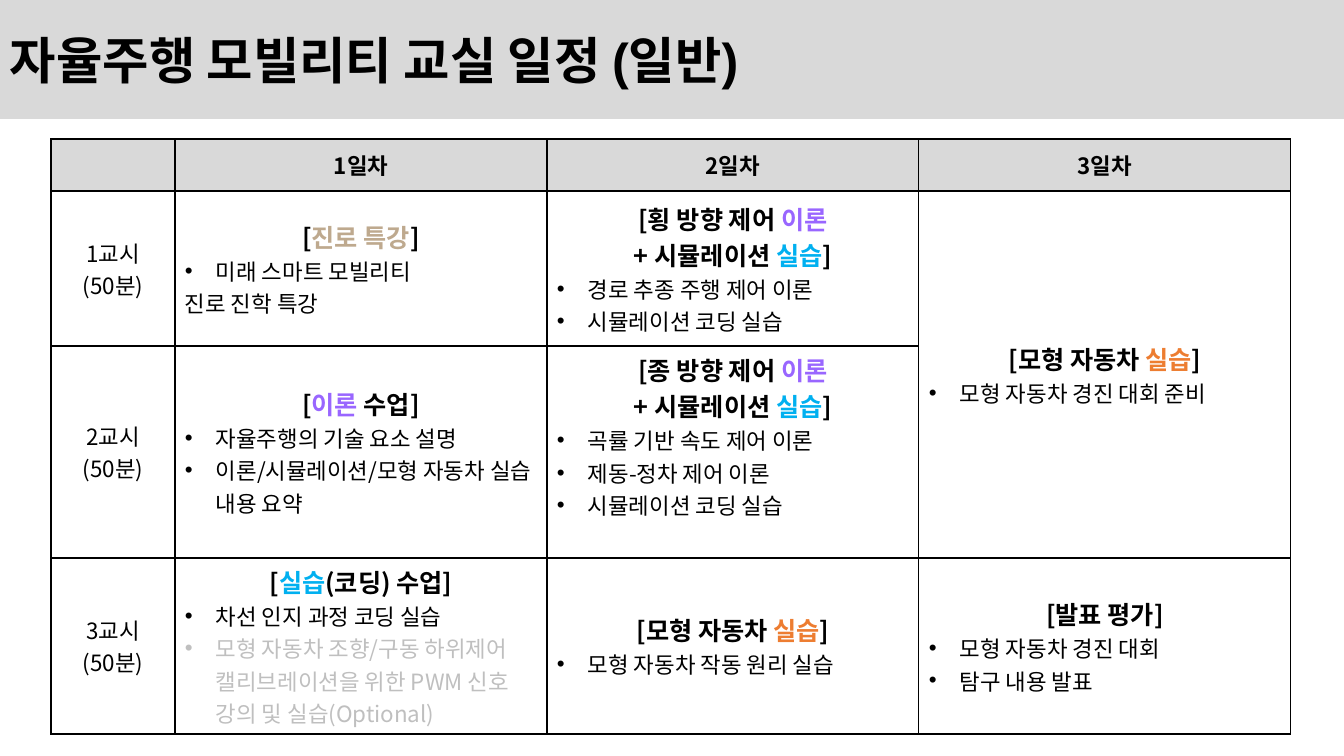
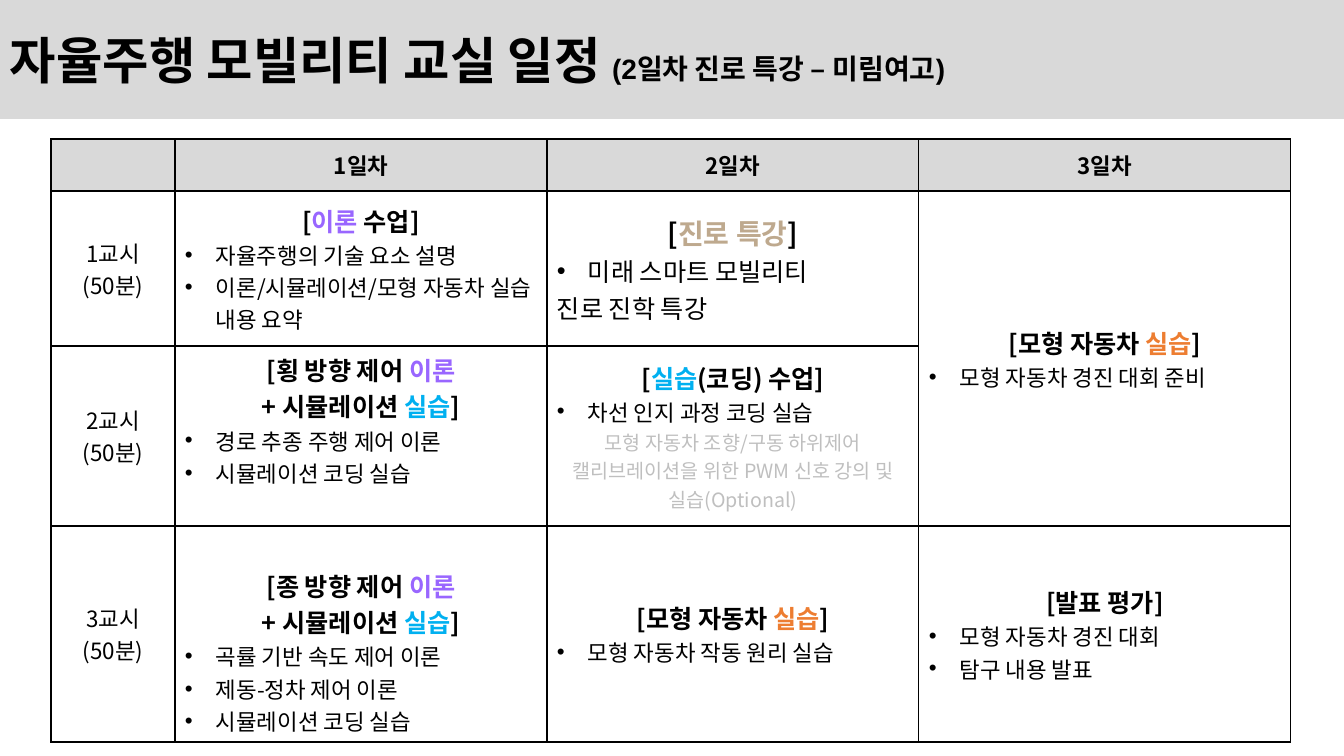
from dataclasses import dataclass, replace

from lxml import etree
from pptx import Presentation
from pptx import util as u
from pptx.dml.color import RGBColor
from pptx.enum import shapes, text
from pptx.oxml import ns

# Shared look
SCALE = 914400 / 100.8
WIDTH, HEIGHT = 1344, 756
BAND_HEIGHT = 119
TABLE_LEFT, TABLE_TOP = 51, 139
COLUMNS = [124, 372, 372, 372]
HEADER_HEIGHT, FIRST_HEIGHT = 52, 155
MARGIN_X, MARGIN_Y, INDENT = 10, 5, 31
BODY_FONT, TITLE_FONT = "Noto Sans CJK KR", "Arial"
BLACK, BAND_GREY, PALE_GREY = "000000", "D9D9D9", "BFBFBF"
CENTER, LEFT = text.PP_ALIGN.CENTER, text.PP_ALIGN.LEFT

# Coloured words
THEORY = ("이론", "9966FF")
CODING = ("실습", "00B0F0")
MODEL_CAR = ("실습", "ED7D31")
CAREER_TALK = ("진로 특강", "BEA98E")


@dataclass
class Line:
    runs: tuple
    size: int = 16
    bold: bool = False
    align: int = CENTER
    bullet: bool = False


@dataclass
class Lesson:
    lines: list
    gap_above: int = 0
    gap_below: int = 0


def px(length):
    return u.Emu(round(length * SCALE))


def color(value):
    return RGBColor.from_string(value)


# Kinds of line
def heading(*runs, size=18):
    return Line(runs, size=size, bold=True)


def bullet(words, size=16, ink=BLACK):
    return Line(((words, ink),), size=size, align=LEFT, bullet=True)


def plain(words, size=16, ink=BLACK, align=CENTER):
    return Line(((words, ink),), size=size, align=align)


# Lessons
OPTIONAL = "모형 자동차 조향/구동 하위제어 캘리브레이션을 위한 PWM 신호 강의 및 실습(Optional)"


def career_lesson(size):
    return Lesson([heading("[", CAREER_TALK, "]", size=size + 2),
                   bullet("미래 스마트 모빌리티", size=size),
                   plain("진로 진학 특강", size=size, align=LEFT)])


def control_lesson(direction, *topics):
    return Lesson([heading(f"[{direction} 방향 제어 ", THEORY),
                   heading("+ 시뮬레이션 ", CODING, "]"),
                   *map(bullet, topics), bullet("시뮬레이션 코딩 실습")])


def coding_lesson(optional_line):
    return Lesson([heading("[", CODING, "(코딩) 수업]"),
                   bullet("차선 인지 과정 코딩 실습"), optional_line])


def car_lesson(topic):
    return Lesson([heading("[모형 자동차 ", MODEL_CAR, "]"), bullet(topic)])


THEORY_LESSON = Lesson([heading("[", THEORY, " 수업]"),
                        bullet("자율주행의 기술 요소 설명"),
                        bullet("이론/시뮬레이션/모형 자동차 실습 내용 요약")])
LATERAL = control_lesson("횡", "경로 추종 주행 제어 이론")
LONGITUDINAL = control_lesson("종", "곡률 기반 속도 제어 이론", "제동-정차 제어 이론")
RACE_PREPARATION = car_lesson("모형 자동차 경진 대회 준비")
CAR_PRINCIPLES = car_lesson("모형 자동차 작동 원리 실습")
PRESENTATIONS = Lesson([heading("[발표 평가]"), bullet("모형 자동차 경진 대회"),
                        bullet("탐구 내용 발표")])


# Text
def add_text(paragraph, words, size=16, bold=False, ink=BLACK, font=BODY_FONT):
    run = paragraph.add_run()
    run.text = words
    run.font.size = u.Pt(size)
    run.font.bold = bold
    run.font.name = font
    run.font.color.rgb = color(ink)
    east_asian = etree.SubElement(run.font._element, ns.qn("a:ea"))
    east_asian.set("typeface", BODY_FONT)


def add_bullet(paragraph):
    properties = paragraph._p.get_or_add_pPr()
    properties.set("marL", str(px(INDENT)))
    properties.set("indent", str(-px(INDENT)))
    etree.SubElement(properties, ns.qn("a:buFont")).set("typeface", "Arial")
    etree.SubElement(properties, ns.qn("a:buChar")).set("char", "•")


def write_line(paragraph, line):
    paragraph.alignment = line.align
    if line.bullet:
        add_bullet(paragraph)
    for run in line.runs:
        words, ink = (run, BLACK) if isinstance(run, str) else run
        add_text(paragraph, words, size=line.size, bold=line.bold, ink=ink)


# Table
def add_borders(cell):
    properties = cell._tc.get_or_add_tcPr()
    for side in ("lnL", "lnR", "lnT", "lnB"):
        border = etree.SubElement(properties, ns.qn(f"a:{side}"), w=str(u.Pt(1)))
        fill = etree.SubElement(border, ns.qn("a:solidFill"))
        etree.SubElement(fill, ns.qn("a:srgbClr"), val=BLACK)


def style_cell(cell, fill=None):
    add_borders(cell)
    if fill:
        cell.fill.solid()
        cell.fill.fore_color.rgb = color(fill)
    else:
        cell.fill.background()
    cell.vertical_anchor = text.MSO_ANCHOR.MIDDLE


def write_cell(cell, lesson):
    cell.margin_left = cell.margin_right = px(MARGIN_X)
    cell.margin_top = px(MARGIN_Y + lesson.gap_above)
    cell.margin_bottom = px(MARGIN_Y + lesson.gap_below)
    frame = cell.text_frame
    for index, line in enumerate(lesson.lines):
        paragraph = frame.add_paragraph() if index else frame.paragraphs[0]
        write_line(paragraph, line)


def add_timetable(slide, heights, lessons):
    heights = [HEADER_HEIGHT, FIRST_HEIGHT, *heights]
    table = slide.shapes.add_table(
        len(heights), len(COLUMNS), px(TABLE_LEFT), px(TABLE_TOP),
        px(sum(COLUMNS)), px(sum(heights))).table
    table.first_row = table.horz_banding = False
    for column, width in zip(table.columns, COLUMNS):
        column.width = px(width)
    for row, height in zip(table.rows, heights):
        row.height = px(height)

    days = [Lesson([Line((f"{day}일차",), bold=True)]) for day in (1, 2, 3)]
    grid = [[None, *days]]
    for period, row in enumerate(lessons, 1):
        grid.append([Lesson([plain(f"{period}교시"), plain("(50분)")]), *row])
    for row_index, row in enumerate(grid):
        for column_index, lesson in enumerate(row):
            cell = table.cell(row_index, column_index)
            style_cell(cell, fill=None if row_index else BAND_GREY)
            if lesson:
                write_cell(cell, lesson)
    # Race preparation takes two periods
    table.cell(1, 3).merge(table.cell(2, 3))


# Title band
def add_title(slide, *parts):
    band = slide.shapes.add_shape(shapes.MSO_SHAPE.RECTANGLE, 0, 0,
                                  px(WIDTH), px(BAND_HEIGHT))
    band.shadow.inherit = False
    band.fill.solid()
    band.fill.fore_color.rgb = color(BAND_GREY)
    band.line.fill.background()
    frame = band.text_frame
    frame.word_wrap = False
    frame.vertical_anchor = text.MSO_ANCHOR.MIDDLE
    paragraph = frame.paragraphs[0]
    paragraph.alignment = LEFT
    for words, size in parts:
        add_text(paragraph, words, size=size, bold=True, font=TITLE_FONT)


def add_schedule(presentation, note, note_size, heights, lessons):
    slide = presentation.slides.add_slide(presentation.slide_layouts[6])
    add_timetable(slide, heights, lessons)
    add_title(slide, ("자율주행 모빌리티 교실 일정 ", 36), (note, note_size))


def main():
    presentation = Presentation()
    presentation.slide_width, presentation.slide_height = px(WIDTH), px(HEIGHT)

    # General schedule
    add_schedule(presentation, "(일반)", 36, [212, 176], [
        [career_lesson(16), LATERAL, RACE_PREPARATION],
        [THEORY_LESSON, replace(LONGITUDINAL, gap_below=32), None],
        [coding_lesson(bullet(OPTIONAL, ink=PALE_GREY)), CAR_PRINCIPLES,
         PRESENTATIONS],
    ])

    # Schedule with the career talk on day two
    add_schedule(presentation, "(2일차 진로 특강 – 미림여고)", 20, [180, 216], [
        [THEORY_LESSON, career_lesson(18), RACE_PREPARATION],
        [replace(LATERAL, gap_below=32),
         coding_lesson(plain(OPTIONAL, size=14, ink=PALE_GREY)), None],
        [replace(LONGITUDINAL, gap_above=36), CAR_PRINCIPLES, PRESENTATIONS],
    ])
    presentation.save("out.pptx")


main()
